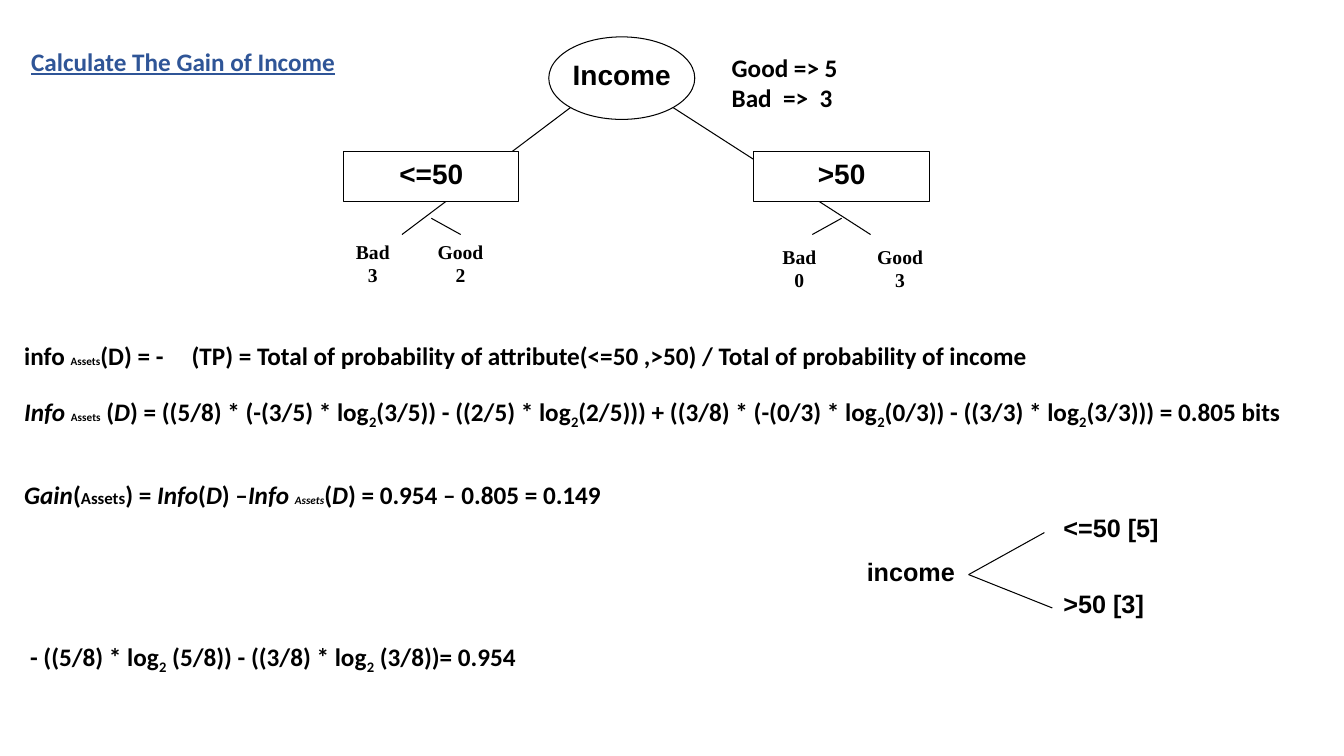
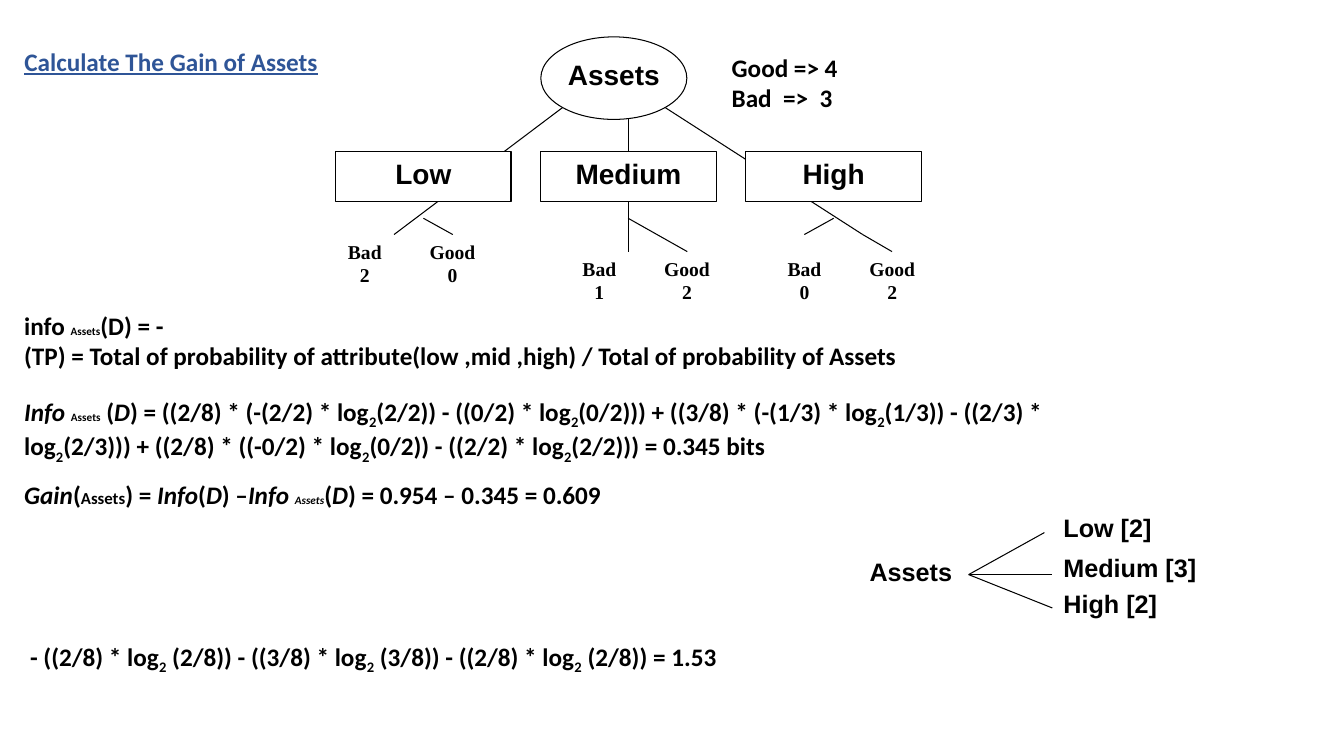
from collections import namedtuple

from lxml.etree import SubElement
from pptx import Presentation
from pptx.dml.color import RGBColor
from pptx.enum.shapes import MSO_CONNECTOR, MSO_SHAPE
from pptx.enum.text import MSO_ANCHOR, MSO_AUTO_SIZE, PP_ALIGN
from pptx.oxml.ns import qn
from pptx.util import Cm, Pt

BLACK = RGBColor(0x00, 0x00, 0x00)
WHITE = RGBColor(0xFF, 0xFF, 0xFF)
BLUE = RGBColor(0x2F, 0x55, 0x97)
BODY, DIAGRAM, LEAF = "Calibri", "Arial", "Times New Roman"

# Tree measures in cm, relative to the tree's top left corner
PITCH = 5.17
NODE_Y, NODE_W, NODE_H = 2.9, 4.42, 1.25
TWIG_Y = 4.57
LEAF_W, LEAF_H = 2.95, 1.68
# Per column: lines running behind the nodes, then the twig
LIMBS = {0: (5.89, 1.65, 1.47, 4.98), 2: (8.1, 1.65, 13.28, 4.98)}
TWIGS = {0: (2.21, TWIG_Y, 2.95, 4.98), 1: (7.37, TWIG_Y, 8.86, 5.41),
         2: (12.55, TWIG_Y, 11.81, 4.98)}
# Per column of the fan: label top, line end x, line end y
FAN_ROWS = {0: (0, 5.36, 0.64), 1: (1.02, 5.56, 1.7), 2: (1.91, 5.56, 2.54)}

Branch = namedtuple("Branch", "column label bad good bad_x good_x leaf_y")


def text(tf, *paras, size=18, font=BODY, color=BLACK, bold=True, italic=False,
         underline=None, align=PP_ALIGN.LEFT, wrap=True,
         anchor=MSO_ANCHOR.TOP, tab=None):
    """Fill a frame; a paragraph is a string or (string, overrides) runs.

    Every ₂ becomes a lowered 2.
    """
    tf.word_wrap = wrap
    tf.vertical_anchor = anchor
    tf.auto_size = MSO_AUTO_SIZE.NONE
    for i, para in enumerate(paras):
        p = tf.paragraphs[0] if i == 0 else tf.add_paragraph()
        p.alignment = align
        if tab:
            tabs = SubElement(p._p.get_or_add_pPr(), qn("a:tabLst"))
            SubElement(tabs, qn("a:tab"), pos=str(Cm(tab)), algn="l")
        for words, own in [(para, {})] if isinstance(para, str) else para:
            for piece in words.replace("₂", "|₂|").split("|"):
                if not piece:
                    continue
                r = p.add_run()
                r.text = piece.replace("₂", "2")
                f = r.font
                f.name, f.bold, f.underline = font, bold, underline
                f.size = Pt(own.get("size", size))
                f.italic = own.get("italic", italic)
                f.color.rgb = color
                if piece == "₂":
                    f._element.set("baseline", "-25000")


def text_box(s, x, y, w, h, *paras, **style):
    sp = s.shapes.add_textbox(Cm(x), Cm(y), Cm(w), Cm(h))
    text(sp.text_frame, *paras, **style)
    return sp


def node(s, kind, x, y, w, h, label, **style):
    sp = s.shapes.add_shape(kind, Cm(x), Cm(y), Cm(w), Cm(h))
    sp.shadow.inherit = False
    sp.fill.solid()
    sp.fill.fore_color.rgb = WHITE
    sp.line.color.rgb = BLACK
    sp.line.width = Pt(0.75)
    text(sp.text_frame, label, size=20, font=DIAGRAM,
         align=PP_ALIGN.CENTER, **style)
    return sp


def line(s, x, y, x1, y1, x2, y2):
    """Draw a line whose ends are relative to the corner x, y."""
    c = s.shapes.add_connector(MSO_CONNECTOR.STRAIGHT, Cm(x + x1), Cm(y + y1),
                               Cm(x + x2), Cm(y + y2))
    c.line.color.rgb = BLACK
    c.line.width = Pt(0.75)
    SubElement(c._element.spPr, qn("a:effectLst"))
    return c


def tree(s, x, y, root, branches, long_right):
    """Root ellipse, one node per branch, and the bad and good leaves."""
    # Limbs lie behind the nodes
    for b in branches:
        if b.column in LIMBS:
            line(s, x, y, *LIMBS[b.column])
    if long_right:
        line(s, x, y, 13.28, 4.98, 14.02, 5.41)

    sp = node(s, MSO_SHAPE.OVAL, x + PITCH, y, 3.68, 2.08, root,
              wrap=False, anchor=MSO_ANCHOR.MIDDLE)
    sp.text_frame.margin_top, sp.text_frame.margin_bottom = 0, Cm(0.2)

    for b in branches:
        left = x + b.column * PITCH
        box = node(s, MSO_SHAPE.RECTANGLE, left, y + NODE_Y, NODE_W, NODE_H,
                   b.label)
        if b.column == 1:
            mid = PITCH + NODE_W / 2
            line(s, x, y, mid, 2.08, mid, NODE_Y).end_connect(box, 0)
            line(s, x, y, mid, NODE_Y + NODE_H, mid, 5.41).begin_connect(box, 2)
        line(s, x, y, *TWIGS[b.column])
        for word, count, dx in (("Bad", b.bad, b.bad_x),
                                ("Good", b.good, b.good_x)):
            text_box(s, left + dx, y + b.leaf_y, LEAF_W, LEAF_H, word,
                     str(count), size=14, font=LEAF, align=PP_ALIGN.CENTER)


def fan(s, x, y, root, branches):
    """Root word with a line to each branch and its number of cases."""
    text_box(s, x, y + 1.12, 3.99, 1.02, root, font=DIAGRAM,
             align=PP_ALIGN.CENTER)
    for b in branches:
        top, end_x, end_y = FAN_ROWS[b.column]
        line(s, x, y, 3.45, 1.7, end_x, end_y)
        text_box(s, x + 5.59, y + top, 3.86, 1.02,
                 f"{b.label} [{b.bad + b.good}]", font=DIAGRAM, wrap=False)


def formulas(s, x, y, info_y, info_w, definition, info, gain, entropy):
    """Definition, information, gain and entropy lines under the tree."""
    small, slant = {"size": 8}, {"italic": True}
    first, *rest = definition
    text_box(s, x, info_y, 33.15, 1.78,
             [("info ", {}), ("Assets", small), (first, {})], *rest, tab=4.22)
    text_box(s, x, y, info_w, 2.74,
             [("Info ", slant), ("Assets", small), (" (", {}), ("D", slant),
              (f") = {info} bits", {})])
    text_box(s, x, y + 2.1, 16.94, 1.78,
             [("Gain", slant), ("(", {}), ("Assets", {"size": 12}),
              (") = ", {}), ("Info", slant), ("(", {}), ("D", slant),
              (") –", {}), ("Info ", slant), ("Assets", {**small, **slant}),
              ("(", {}), ("D", slant), (f") = {gain}", {})])
    text_box(s, x + 0.15, y + 6.17, 25, 1.12, entropy)


def gain_slide(prs, name, title_x, tree_x, good, branches, fan_root, **lines):
    s = prs.slides.add_slide(prs.slide_layouts[5])
    # Title
    title = s.shapes.title
    title.left, title.top = Cm(title_x), Cm(1.03)
    title.width, title.height = Cm(9), Cm(1.78)
    text(title.text_frame, f"Calculate The Gain of {name}", color=BLUE,
         underline=True)
    # Diagrams and totals
    tree(s, tree_x, 0.93, name, branches, long_right=len(branches) == 3)
    text_box(s, 18.19, 1.19, 4.78, 1.78, f"Good => {good}", "Bad  =>  3")
    formulas(s, 0.36, 9.86, **lines)
    fan(s, 20.96, 12.78, fan_root, branches)


def main():
    prs = Presentation()
    prs.slide_width, prs.slide_height = Cm(33.87), Cm(19.05)

    gain_slide(
        prs, "Income", 0.53, 8.66, 5,
        [Branch(0, "<=50", 3, 2, -0.74, 1.47, 4.98),
         Branch(2, ">50", 0, 3, -0.33, 2.21, 5.11)],
        "income", info_y=8.46, info_w=32.41,
        definition=["(D) = -\t(TP) = Total of probability of "
                    "attribute(<=50 ,>50) / Total of probability of income"],
        info="((5/8) * (-(3/5) * log₂(3/5)) - ((2/5) * log₂(2/5))) + "
             "((3/8) * (-(0/3) * log₂(0/3)) - ((3/3) * log₂(3/3))) = 0.805",
        gain="0.954 – 0.805 = 0.149",
        entropy="- ((5/8) * log₂ (5/8)) - ((3/8) * log₂ (3/8))= 0.954")

    gain_slide(
        prs, "Assets", 0.36, 8.46, 4,
        [Branch(0, "Low", 2, 0, -0.74, 1.47, 4.98),
         Branch(1, "Medium", 1, 2, 0, 2.21, 5.41),
         Branch(2, "High", 0, 2, 0, 2.21, 5.41)],
        "Assets", info_y=7.7, info_w=28.04,
        definition=["(D) = -", "(TP) = Total of probability of "
                    "attribute(low ,mid ,high) / Total of probability of Assets"],
        info="((2/8) * (-(2/2) * log₂(2/2)) - ((0/2) * log₂(0/2))) + "
             "((3/8) * (-(1/3) * log₂(1/3)) - ((2/3) * log₂(2/3))) + "
             "((2/8) * ((-0/2) * log₂(0/2)) - ((2/2) * log₂(2/2))) = 0.345",
        gain="0.954 – 0.345 = 0.609",
        entropy="- ((2/8) * log₂ (2/8)) - ((3/8) * log₂ (3/8)) - "
                "((2/8) * log₂ (2/8)) = 1.53")

    prs.save("out.pptx")


if __name__ == "__main__":
    main()
